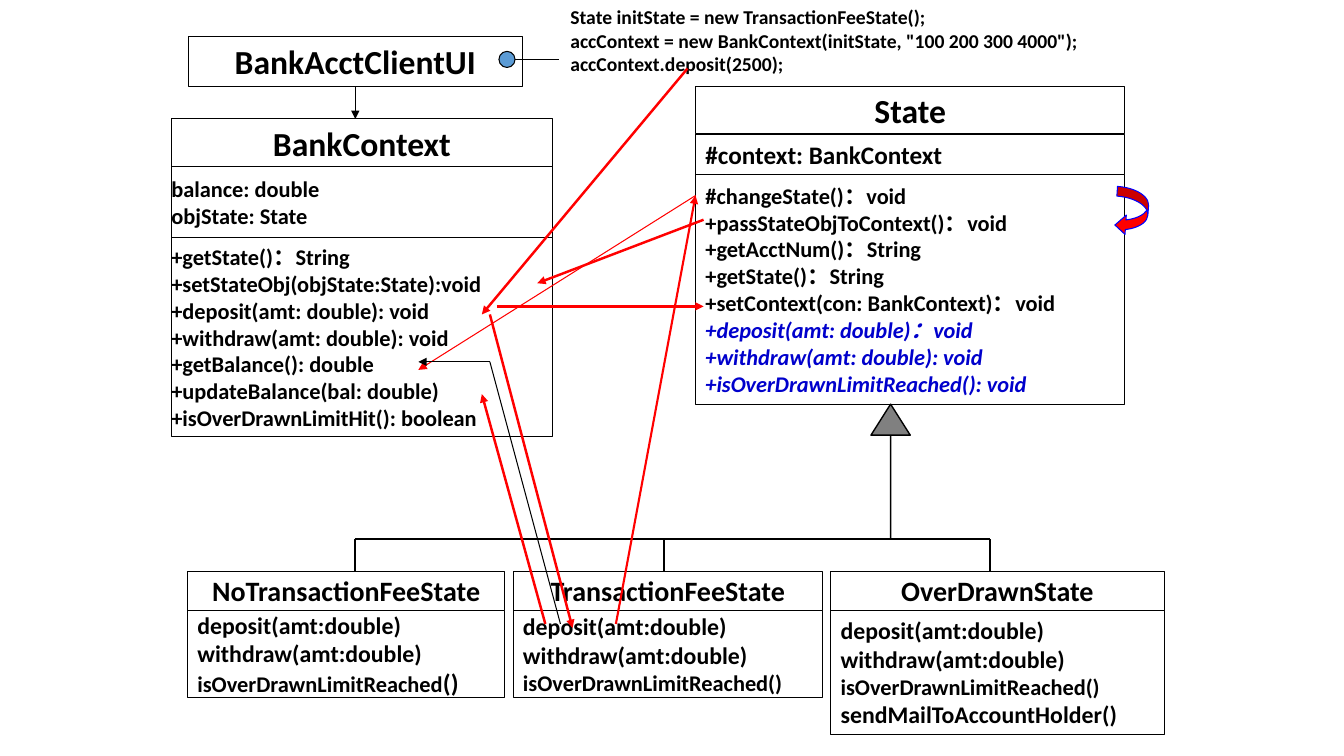
import pptx
import pptx.util
import pptx.dml.color
import pptx.enum.shapes
import pptx.enum.text
import pptx.oxml
import pptx.oxml.ns

COLORS = {"black": "000000", "white": "FFFFFF", "abstract": "0000CC", "call": "FF0000",
          "loop_edge": "0000FF", "inherit": "808080", "note": "5B9BD5"}
CELL = pptx.util.Inches(0.1)
COLUMNS, ROWS = 133.33, 75
SHAPES = pptx.enum.shapes.MSO_SHAPE
ALIGN = pptx.enum.text.PP_ALIGN


def cells(*counts):
    """Turn counts of grid cells into lengths."""
    return [pptx.util.Emu(round(count * CELL)) for count in counts]


def color(name):
    """Look up a named colour."""
    return pptx.dml.color.RGBColor.from_string(COLORS[name])


def write(frame, lines, size, align=ALIGN.LEFT, inset=1, wrap=False):
    """Fill a text frame; a line is a string or a list of (text, overrides) runs."""
    frame.word_wrap = wrap
    frame.margin_left, frame.margin_right = cells(inset, inset)
    for number, line in enumerate(lines):
        paragraph = frame.paragraphs[0] if number == 0 else frame.add_paragraph()
        paragraph.alignment = align
        for text, overrides in [(line, {})] if isinstance(line, str) else line:
            run = paragraph.add_run()
            run.text = text
            run.font.name = "Calibri"
            run.font.bold = True
            run.font.size = pptx.util.Pt(overrides.get("size", size))
            run.font.italic = overrides.get("italic", False)
            run.font.color.rgb = color(overrides.get("color", "black"))


def add_outlined(slide, kind, box, fill="white", edge="black", width=0.75, adjustments=()):
    """Add a filled preset shape with an outline."""
    shape = slide.shapes.add_shape(kind, *cells(*box))
    shape.shadow.inherit = False
    shape.fill.solid()
    shape.fill.fore_color.rgb = color(fill)
    shape.line.color.rgb = color(edge)
    shape.line.width = pptx.util.Pt(width)
    for number, value in enumerate(adjustments):
        shape.adjustments[number] = value
    return shape


def add_line(slide, start, end, edge="black", width=0.75, arrow=False):
    """Add a straight connector, optionally with an arrowhead at its end."""
    line = slide.shapes.add_connector(pptx.enum.shapes.MSO_CONNECTOR.STRAIGHT, *cells(*start, *end))
    line.line.color.rgb = color(edge)
    line.line.width = pptx.util.Pt(width)
    if arrow:
        head = pptx.oxml.parse_xml(f'<a:tailEnd {pptx.oxml.ns.nsdecls("a")} type="triangle"/>')
        line.line._get_or_add_ln().append(head)
    line.element.spPr.append(pptx.oxml.parse_xml(f'<a:effectLst {pptx.oxml.ns.nsdecls("a")}/>'))
    return line


def draw_class(slide, box, compartments, inset=1):
    """Stack class compartments of (height, size, lines) with a centred title first."""
    left, top, width = box
    parts = []
    for height, size, lines in compartments:
        part = add_outlined(slide, SHAPES.RECTANGLE, (left, top, width, height))
        part.text_frame.vertical_anchor = pptx.enum.text.MSO_ANCHOR.MIDDLE
        write(part.text_frame, lines, size, inset=inset,
              align=ALIGN.LEFT if parts else ALIGN.CENTER)
        parts.append(part)
        top += height
    return parts


def draw_state(slide, box):
    """Draw the abstract State class."""
    abstract = {"color": "abstract", "italic": True}
    operations = ["#changeState()：void", "+passStateObjToContext()：void", "+getAcctNum()：String",
                  "+getState()：String", "+setContext(con: BankContext)：void"]
    operations += [[(text, abstract)] for text in (
        "+deposit(amt: double)：void", "+withdraw(amt: double): void",
        "+isOverDrawnLimitReached(): void")]
    draw_class(slide, box, [(4.7, 24, ["State"]), (4, 18, ["#context: BankContext"]),
                            (22.8, 16, operations)])


def draw_context(slide, box):
    """Draw the BankContext class."""
    operations = ["+getState()：String", "+setStateObj(objState:State):void",
                  "+deposit(amt: double): void", "+withdraw(amt: double): void",
                  "+getBalance(): double", "+updateBalance(bal: double)",
                  "+isOverDrawnLimitHit(): boolean"]
    draw_class(slide, box, [(4.7, 24, ["BankContext"]),
                            (7.1, 16, ["balance: double", "objState: State"]),
                            (19.7, 16, operations)], inset=0)


def draw_client(slide, box):
    """Draw the client class and its link down to the context."""
    left, top, width = box
    client, = draw_class(slide, box, [(4.95, 24, ["BankAcctClientUI"])])
    middle = left + width / 2
    link = add_line(slide, (middle, top + 4.95), (middle, top + 8.2), arrow=True)
    link.begin_connect(client, 2)


def draw_tree(slide, box):
    """Draw the inheritance bus with a branch down to each state."""
    left, top, width, height = box
    for branch in (0, 30.7, width):
        add_line(slide, (left + branch, top + height), (left + branch, top), width=1.5)
    add_line(slide, (left, top), (left + width, top), width=1.5)


def draw_states(slide, box):
    """Draw the three concrete states side by side."""
    left, top = box
    shared = ["deposit(amt:double)", "withdraw(amt:double)"]
    check = [("isOverDrawnLimitReached()", {"size": 16})]
    split_check = [("isOverDrawnLimitReached", {"size": 16}), ("()", {"size": 18})]
    states = [("NoTransactionFeeState", 0, 31.5, 8.7, [split_check]),
              ("TransactionFeeState", 32.3, 30.7, 8.7, [check]),
              ("OverDrawnState", 63.8, 33.1, 12.3, [check, "sendMailToAccountHolder()"])]
    for title, offset, width, height, extra in states:
        draw_class(slide, (left + offset, top, width),
                   [(3.9, 20, [title]), (height, 17, shared + extra)])


def draw_note(slide, box):
    """Draw the client code note with its anchor dot."""
    left, top, width, height = box
    note = slide.shapes.add_textbox(*cells(*box))
    write(note.text_frame, ["State initState = new TransactionFeeState();",
                            'accContext = new BankContext(initState, "100 200 300 4000");',
                            "accContext.deposit(2500);"], 14, wrap=True)
    add_line(slide, (left - 4.8, top + 5.9), (left - 0.1, top + 5.9))
    add_outlined(slide, SHAPES.OVAL, (left - 6.1, top + 5.1, 1.6, 1.6), fill="note")


def draw_self_call(slide, box):
    """Draw the curved arrow of a State calling itself."""
    loop = add_outlined(slide, SHAPES.CURVED_UP_ARROW, box, fill="call", edge="loop_edge",
                        adjustments=(0.301, 0.602, 0.333))
    loop.rotation = 273.9
    loop.element.spPr.xfrm.set("flipH", "1")


def draw_calls(slide, box):
    """Draw the message arrows between the classes."""
    left, top = box
    red = {"edge": "call", "arrow": True}
    calls = [((26.7, 0), (6.3, 24.4), {"width": 1.75, **red}),
             ((7.8, 23.6), (28.3, 23.6), {"width": 1.75, **red}),
             ((7.1, 24.4), (15.3, 55.5), {"width": 1.75, **red}),
             ((12.6, 55.1), (6.3, 32.3), {"width": 1.75, **red}),
             ((28.3, 15), (11.8, 21.3), {"width": 1.75, **red}),
             ((19.6, 55.1), (27.5, 12.6), {"width": 1.5, **red}),
             ((27.5, 12.6), (0, 29.9), red),
             ((14.1, 55.1), (7.1, 29.1), {}),
             ((7.1, 29.1), (0, 29.1), {"arrow": True})]
    for start, end, look in calls:
        add_line(slide, (left + start[0], top + start[1]), (left + end[0], top + end[1]), **look)


def main():
    """Build the state pattern class diagram."""
    deck = pptx.Presentation()
    deck.slide_width, deck.slide_height = cells(COLUMNS, ROWS)
    slide = deck.slides.add_slide(deck.slide_layouts[6])
    draw_state(slide, (69, 8.6, 42.6))
    draw_tree(slide, (35.2, 53.5, 63, 7.1))
    draw_context(slide, (17, 11.8, 37.8))
    draw_client(slide, (18.7, 3.6, 33.1))
    add_outlined(slide, SHAPES.UP_ARROW, (86.4, 40.1, 3.9, 13.4), fill="inherit", width=1,
                 adjustments=(0, 0.79))
    draw_states(slide, (18.6, 56.65))
    draw_note(slide, (55.6, 0, 59.1, 8.1))
    draw_self_call(slide, (109.9, 19.4, 4.8, 3.2))
    draw_calls(slide, (41.5, 6.8))
    deck.save("out.pptx")


if __name__ == "__main__":
    main()
